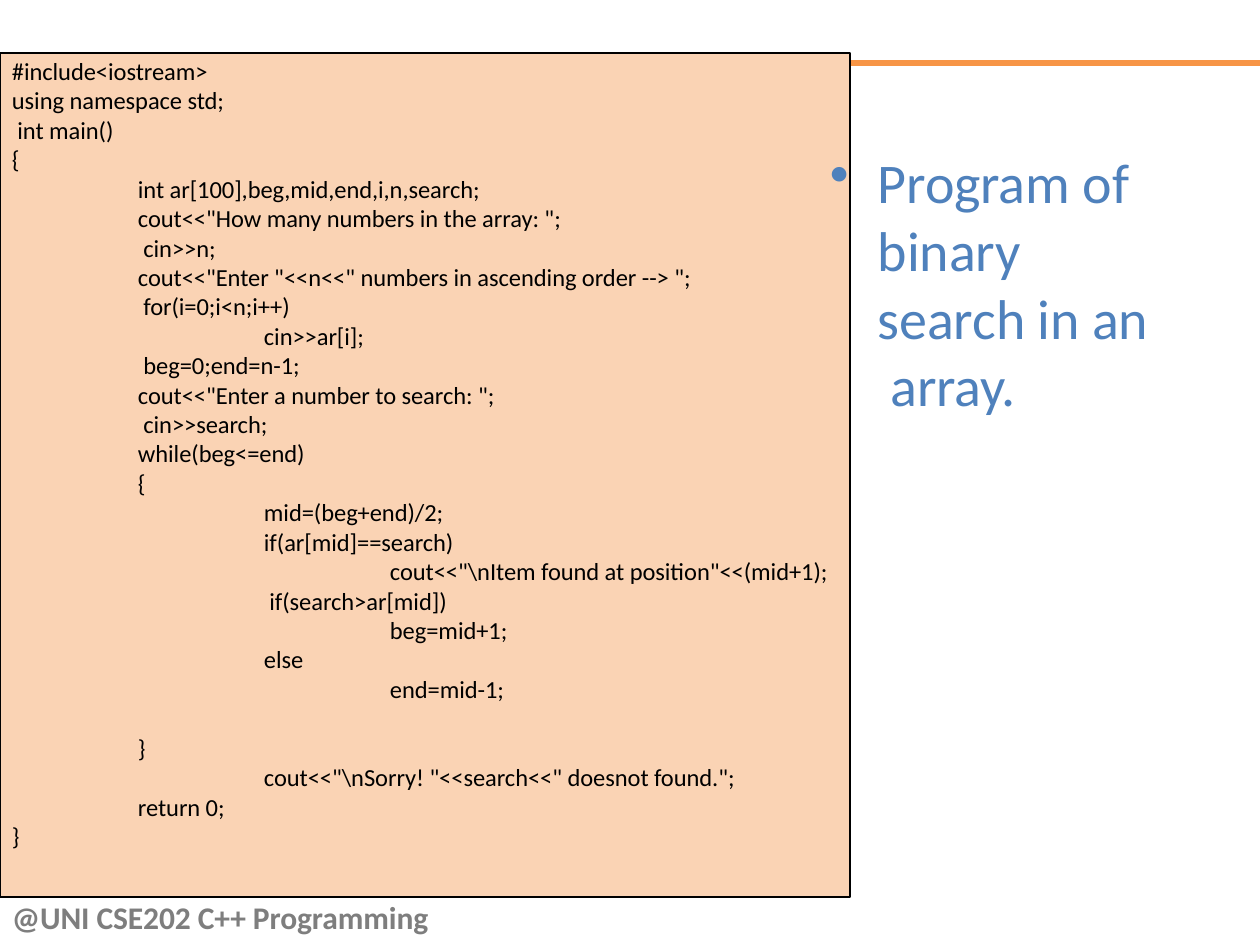
from dataclasses import dataclass

from lxml import etree
from pptx import Presentation
from pptx.dml.color import RGBColor
from pptx.enum.shapes import MSO_CONNECTOR, MSO_SHAPE
from pptx.enum.text import MSO_ANCHOR
from pptx.oxml.ns import qn
from pptx.util import Emu, Pt

RECTANGLE = MSO_SHAPE.RECTANGLE
STRAIGHT = MSO_CONNECTOR.STRAIGHT
TOP = MSO_ANCHOR.TOP

PX_PER_INCH = 126
TAB_WIDTH = 4  # spaces per code level

SEARCH_CODE = r"""#include<iostream>
using namespace std;
 int main()
{
    int ar[100],beg,mid,end,i,n,search;
    cout<<"How many numbers in the array: ";
     cin>>n;
    cout<<"Enter "<<n<<" numbers in ascending order --> ";
     for(i=0;i<n;i++)
        cin>>ar[i];
     beg=0;end=n-1;
    cout<<"Enter a number to search: ";
     cin>>search;
    while(beg<=end)
    {
        mid=(beg+end)/2;
        if(ar[mid]==search)
            cout<<"\nItem found at position"<<(mid+1);
         if(search>ar[mid])
            beg=mid+1;
        else
            end=mid-1;"""

CLOSING_CODE = r"""    }
        cout<<"\nSorry! "<<search<<" doesnot found.";
    return 0;
}"""


@dataclass(frozen=True)
class Theme:
    font: str = "Calibri"
    code_ink: str = "000000"
    panel: str = "FAD3B4"
    rule: str = "F79546"
    heading: str = "4F81BC"
    footer: str = "7E7E7E"
    code_size: int = 14
    footer_size: int = 18
    heading_size: int = 32


THEME = Theme()


def px(length):
    return Emu(round(length * 914400 / PX_PER_INCH))


def rgb(value):
    return RGBColor.from_string(value)


def add_panel(slide, left, top, width, height):
    panel = slide.shapes.add_shape(RECTANGLE, px(left), px(top), px(width), px(height))
    panel.shadow.inherit = False
    panel.fill.solid()
    panel.fill.fore_color.rgb = rgb(THEME.panel)
    panel.line.color.rgb = rgb(THEME.code_ink)
    panel.line.width = Pt(0.75)


def add_rule(slide, left, right, y):
    rule = slide.shapes.add_connector(STRAIGHT, px(left), px(y), px(right), px(y))
    rule.line.color.rgb = rgb(THEME.rule)
    rule.line.width = Pt(3)
    etree.SubElement(rule._element.spPr, qn("a:effectLst"))


def add_bullet(paragraph, hang):
    properties = paragraph._p.get_or_add_pPr()
    properties.set("marL", str(px(hang)))
    properties.set("indent", str(-px(hang)))
    etree.SubElement(properties, qn("a:buChar")).set("char", "•")


def add_text(slide, text, box, *, size, color, bold=False, tracking=0,
             before=1, line_height=None, bullet_hang=0):
    """Write one paragraph per line; leading tabs' worth of spaces set its level."""
    frame = slide.shapes.add_textbox(*map(px, box)).text_frame
    frame.word_wrap = True
    frame.vertical_anchor = TOP
    frame.margin_left = frame.margin_right = frame.margin_bottom = 0
    frame.margin_top = px(1)
    for number, line in enumerate(text.split("\n")):
        paragraph = frame.add_paragraph() if number else frame.paragraphs[0]
        level = (len(line) - len(line.lstrip())) // TAB_WIDTH
        if number == 0:
            paragraph.space_before = Pt(before)
        if line_height:
            paragraph.line_spacing = Pt(line_height)
        if bullet_hang:
            add_bullet(paragraph, bullet_hang)
        else:
            left = px(1 + level * PX_PER_INCH)
            paragraph._p.get_or_add_pPr().set("marL", str(left))
        run = paragraph.add_run()
        run.text = line[level * TAB_WIDTH:]
        run.font.name = THEME.font
        run.font.size = Pt(size)
        run.font.bold = bold
        run.font.color.rgb = rgb(color)
        run._r.get_or_add_rPr().set("spc", str(tracking))


def main():
    deck = Presentation()
    deck.slide_width, deck.slide_height = px(1260), px(945)
    slide = deck.slides.add_slide(deck.slide_layouts[6])

    # Orange rule and code panel
    add_rule(slide, 850, 1260, 63)
    add_panel(slide, 0, 53, 850, 844)

    # Program listing
    code = {"size": THEME.code_size, "color": THEME.code_ink, "tracking": -5}
    add_text(slide, SEARCH_CODE, (11, 55, 830, 650), **code)
    add_text(slide, CLOSING_CODE, (11, 732, 730, 121), **code)

    # Footer
    add_text(slide, "@UNI CSE202 C++ Programming", (11, 903, 440, 35),
             size=THEME.footer_size, color=THEME.footer, bold=True,
             tracking=-5, before=0, line_height=18)

    # Heading beside the listing
    heading = {"size": THEME.heading_size, "color": THEME.heading, "tracking": -10}
    add_text(slide, "Program of", (830, 147, 304, 70), bullet_hang=48, **heading)
    add_text(slide, "binary\nsearch in an\n array.", (877, 215, 290, 205), **heading)

    deck.save("out.pptx")


if __name__ == "__main__":
    main()
